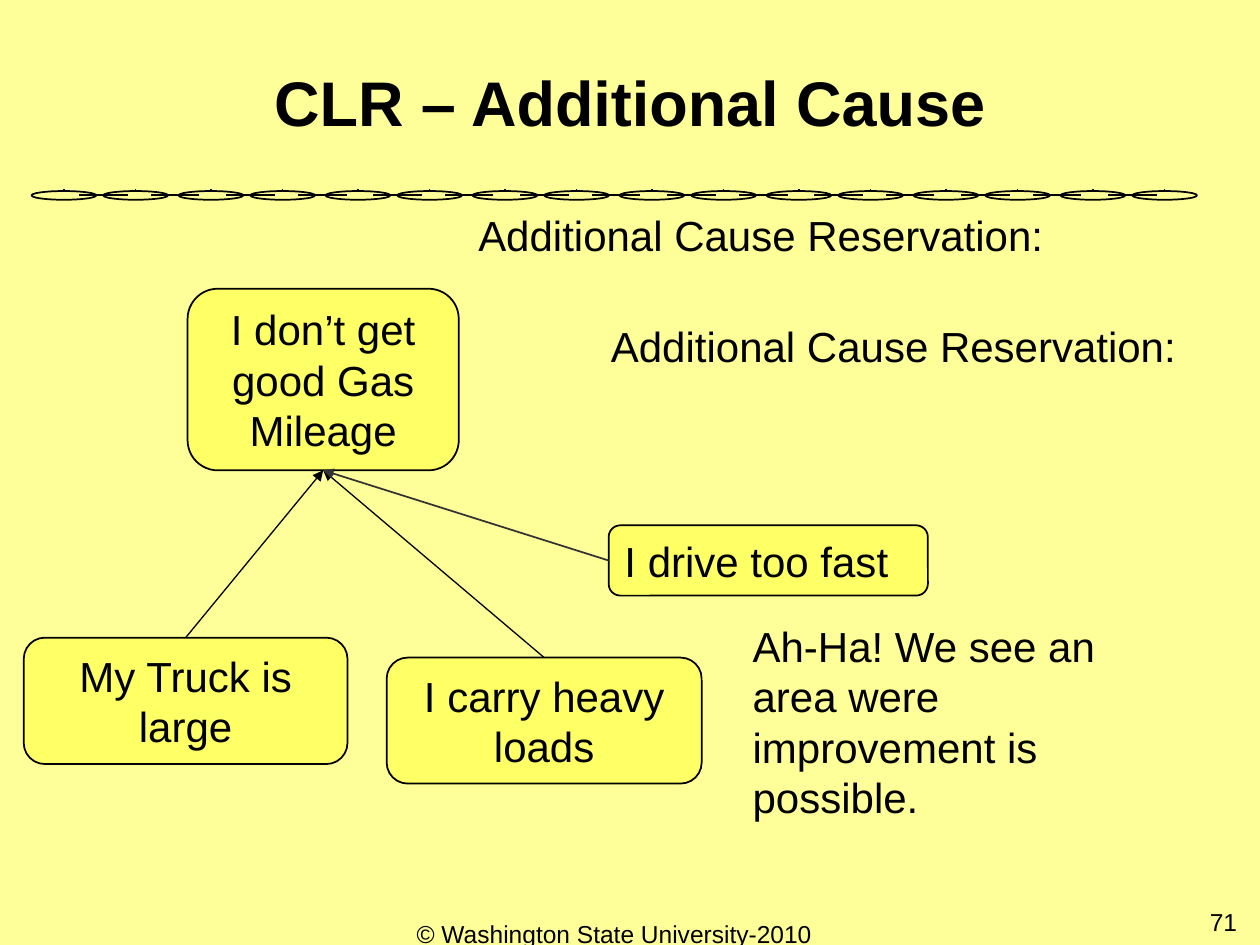
from lxml import etree
from pptx import Presentation
from pptx.dml.color import RGBColor
from pptx.enum import shapes as kinds, text as txt
from pptx.oxml import ns
from pptx.util import Pt

HUES = {"page": "FFFF99", "box": "FFFF66", "ink": "000000", "gray": "333333"}
FONT = "Arial"
LEFT, MID, RIGHT = txt.PP_ALIGN.LEFT, txt.PP_ALIGN.CENTER, txt.PP_ALIGN.RIGHT
TOP, LOW, BOTH = (txt.MSO_ANCHOR.TOP, txt.MSO_ANCHOR.BOTTOM,
                  txt.MSO_ANCHOR.MIDDLE)


def hue(name):
    return RGBColor.from_string(HUES[name])


def place(shape, left, top, width, height):
    shape.left, shape.top = Pt(left), Pt(top)
    shape.width, shape.height = Pt(width), Pt(height)


def write(shape, words, size, align=LEFT, anchor=TOP, bold=False):
    frame = shape.text_frame
    frame.word_wrap = True
    frame.auto_size = txt.MSO_AUTO_SIZE.NONE
    frame.vertical_anchor = anchor
    frame.text = words
    para = frame.paragraphs[0]
    para.alignment = align
    font = para.runs[0].font
    font.name, font.size, font.bold = FONT, Pt(size), bold
    font.color.rgb = hue("ink")
    return para


def add_title(slide, words):
    title = slide.shapes.title
    place(title, 0, 30, 720, 54)
    para = write(title, words, 36, MID, LOW, bold=True)
    para.line_spacing = 0.9


def add_note(slide, words, area, size=24, align=LEFT):
    note = slide.shapes.add_textbox(*map(Pt, area))
    write(note, words, size, align)


def add_shape(slide, kind, area):
    shape = slide.shapes.add_shape(kind, *map(Pt, area))
    shape.shadow.inherit = False
    shape.line.color.rgb = hue("ink")
    shape.line.width = Pt(1)
    return shape


def add_box(slide, words, area, align=MID):
    box = add_shape(slide, kinds.MSO_SHAPE.ROUNDED_RECTANGLE, area)
    box.fill.solid()
    box.fill.fore_color.rgb = hue("box")
    write(box, words, 24, align, BOTH)
    return box


def add_line(slide, ends, color="ink", width=1):
    line = slide.shapes.add_connector(
        kinds.MSO_CONNECTOR.STRAIGHT, *map(Pt, ends))
    line.line.color.rgb = hue(color)
    line.line.width = Pt(width)
    etree.SubElement(line._element.spPr, ns.qn("a:effectLst"))
    return line


def add_arrow(slide, start, side, goal, color="ink", width=0.75):
    arrow = add_line(slide, (0, 0, 0, 0), color, width)
    arrow.begin_connect(start, side)
    arrow.end_connect(goal, 2)
    tip = etree.SubElement(arrow.line._get_or_add_ln(), ns.qn("a:tailEnd"))
    tip.set("type", "triangle")


def add_chain(slide, count=16):
    for i in range(count):
        left = 18 + 84 * (i // 2) + 41 * (i % 2)
        ring = add_shape(slide, kinds.MSO_SHAPE.OVAL, (left, 109.2, 37, 5))
        ring.fill.background()
        add_line(slide, (left + 18.4, 108, left + 18.4, 110))
        if i < count - 1:
            add_line(slide, (left + 55, 111.6, left + 27.4, 111.6))


def main():
    deck = Presentation()
    deck.slide_width, deck.slide_height = Pt(720), Pt(540)
    slide = deck.slides.add_slide(deck.slide_layouts[5])
    slide.background.fill.solid()
    slide.background.fill.fore_color.rgb = hue("page")

    add_chain(slide)
    add_title(slide, "CLR – Additional Cause")

    miles = add_box(slide, "I don’t get good Gas Mileage",
                    (107.2, 165, 155, 103.8))
    truck = add_box(slide, "My Truck is large", (13.6, 364.4, 185, 72.2))
    loads = add_box(slide, "I carry heavy loads", (221, 375.8, 180, 72))
    speed = add_box(slide, "I drive too fast", (347.8, 300.2, 182.4, 40.2),
                    LEFT)
    add_arrow(slide, truck, 0, miles)
    add_arrow(slide, loads, 0, miles)
    add_arrow(slide, speed, 1, miles, "gray", 1)

    for left, top, width in ((266.2, 116, 348), (342, 179.6, 378)):
        add_note(slide, "Additional Cause Reservation:",
                 (left, top, width, 65))
    add_note(slide, "Ah-Ha! We see an area were improvement is possible.",
             (423, 351, 263, 121.6))
    add_note(slide, "71", (546, 515, 168, 37.5), 14, RIGHT)
    add_note(slide, "© Washington State University-2010",
             (216, 521.5, 270, 37.5), 14, MID)
    deck.save("out.pptx")


if __name__ == "__main__":
    main()
